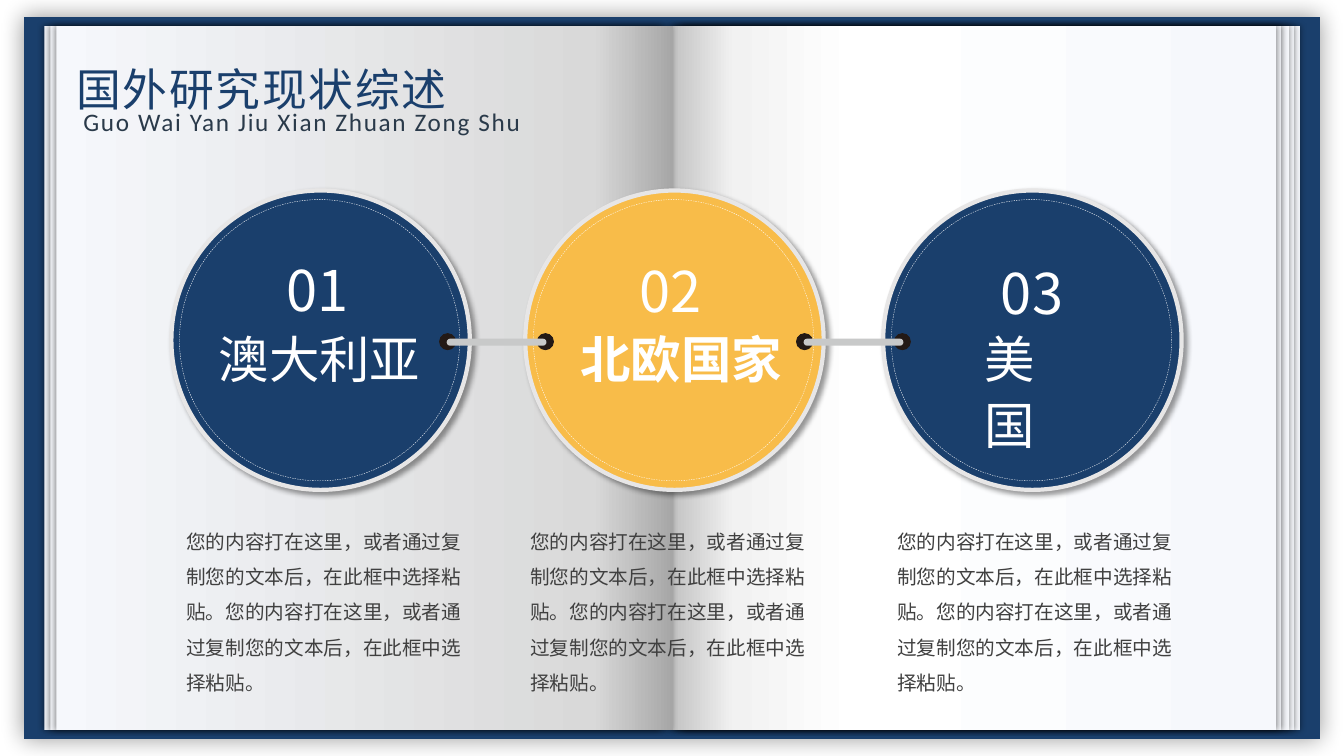
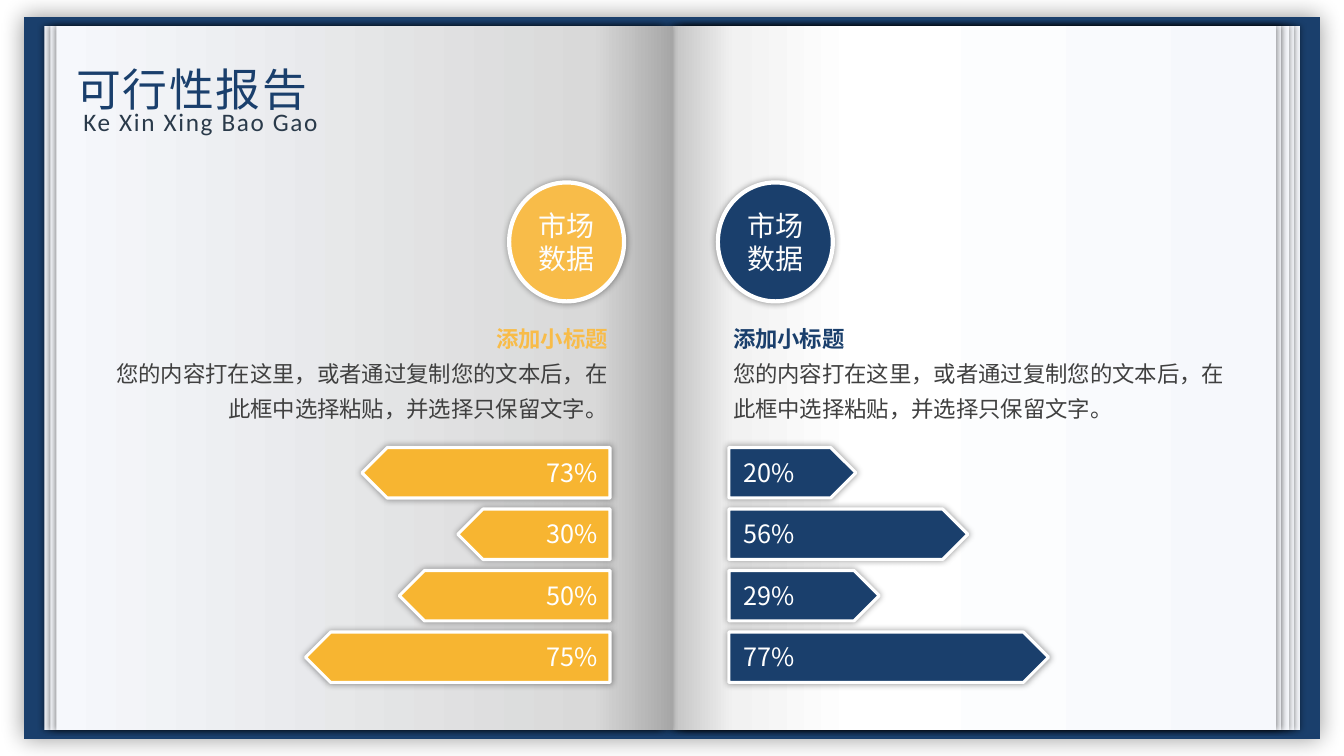
from lxml import etree
from pptx import Presentation
from pptx.dml.color import RGBColor
from pptx.enum.dml import MSO_LINE
from pptx.enum.shapes import MSO_SHAPE
from pptx.enum.text import MSO_ANCHOR, MSO_AUTO_SIZE, PP_ALIGN
from pptx.oxml.ns import qn
from pptx.util import Inches, Pt

RECT, OVAL = MSO_SHAPE.RECTANGLE, MSO_SHAPE.OVAL
PILL, ARROW = MSO_SHAPE.ROUNDED_RECTANGLE, MSO_SHAPE.PENTAGON
LEFT, CENTER, RIGHT = PP_ALIGN.LEFT, PP_ALIGN.CENTER, PP_ALIGN.RIGHT
TOP, MIDDLE = MSO_ANCHOR.TOP, MSO_ANCHOR.MIDDLE
GROW = MSO_AUTO_SIZE.SHAPE_TO_FIT_TEXT
DASH = MSO_LINE.DASH

NAVY, GOLD, AMBER = "1A3F6C", "F8BC49", "F7B531"
WHITE, SLATE, GREY, PIN = "FFFFFF", "2A3A4A", "404040", "231915"
CJK, LATIN = "Noto Sans CJK SC", "Calibri"

# Page shading, from the outer edge to the spine
GREY_PAGE = [(0, "F6F8FC"), (87, "D9D9D9"), (100, "A6A6A6")]
SOFT_PAGE = [(0, "F6F8FC"), (62, "FFFFFF"), (89, "F2F2F2"), (100, "D9D9D9")]
WHITE_PAGE = [(0, "F6F8FC"), (69, "FFFFFF"), (89, "F2F2F2"), (100, "BFBFBF")]

NOTE = "您的内容打在这里，或者通过复制您的文本后，在此框中选择粘贴"


def rgb(color):
    return RGBColor.from_string(color)


# Shapes
def add_shadow(sp, blur, dist=0, angle=0):
    effects = sp.element.spPr.find(qn("a:effectLst"))
    shadow = etree.SubElement(effects, qn("a:outerShdw"), blurRad=str(Pt(blur)),
                              dist=str(Pt(dist)), dir=str(angle * 60000),
                              algn="ctr", rotWithShape="0")
    color = etree.SubElement(shadow, qn("a:srgbClr"), val="000000")
    etree.SubElement(color, qn("a:alpha"), val="40000")


def add_shape(s, kind, box, fill=None, line=None, width=1, shadow=None):
    sp = s.shapes.add_shape(kind, *map(Inches, box))
    sp.shadow.inherit = False
    if fill:
        sp.fill.solid()
        sp.fill.fore_color.rgb = rgb(fill)
    else:
        sp.fill.background()
    if line:
        sp.line.color.rgb = rgb(line)
        sp.line.width = Pt(width)
    else:
        sp.line.fill.background()
    if shadow:
        add_shadow(sp, *shadow)
    return sp


def add_page(s, left, width, stops, right_side):
    sp = add_shape(s, RECT, (left, 0.26, width, 6.98),
                   shadow=(4, 1, 0 if right_side else 180))
    sp.fill.gradient()
    sp.fill.gradient_angle = 0
    stop_list = sp.element.spPr.find(qn("a:gradFill")).find(qn("a:gsLst"))
    for old in list(stop_list):
        stop_list.remove(old)
    if right_side:
        stops = [(100 - pos, color) for pos, color in reversed(stops)]
    for pos, color in stops:
        stop = etree.SubElement(stop_list, qn("a:gs"), pos=str(pos * 1000))
        etree.SubElement(stop, qn("a:srgbClr"), val=color)


# Text
def add_run(p, text, size, color, font=CJK, bold=False, spacing=0):
    r = p.add_run()
    r.text = text
    for key, value in {"name": font, "size": Pt(size), "bold": bold}.items():
        setattr(r.font, key, value)
    r.font.color.rgb = rgb(color)
    props = r.font.fill and r._r.get_or_add_rPr()
    if spacing:
        props.set("spc", str(round(spacing * 100)))
    etree.SubElement(props, qn("a:ea"), typeface=font)


def add_text(s, box, lines, wrap=True, align=LEFT, anchor=TOP, leading=None,
             margins=(0.1, 0.05)):
    """Each line is a dict of add_run arguments."""
    sp = s.shapes.add_textbox(*map(Inches, box))
    tf = sp.text_frame
    side, edge = map(Inches, margins)
    frame = {"word_wrap": wrap, "auto_size": GROW, "vertical_anchor": anchor,
             "margin_left": side, "margin_right": side,
             "margin_top": edge, "margin_bottom": edge}
    for key, value in frame.items():
        setattr(tf, key, value)
    for i, line in enumerate(lines):
        p = tf.add_paragraph() if i else tf.paragraphs[0]
        p.alignment = align
        if leading:
            p.line_spacing = leading
        add_run(p, **line)


def add_label(s, box, text, size, color=WHITE, **style):
    add_text(s, box, [dict(text=text, size=size, color=color, **style)],
             wrap=False, leading=Pt(1.3 * size))


# Shared open book, moved to the layout
def build_book(s, layout):
    add_shape(s, RECT, (0.24, 0.17, 12.85, 7.16), NAVY, shadow=(16,))
    for page in [(6.77, 6.12, GREY_PAGE, True), (6.71, 6.12, GREY_PAGE, True),
                 (6.66, 6.12, SOFT_PAGE, True), (6.67, 6.04, WHITE_PAGE, True),
                 (0.44, 6.12, GREY_PAGE, False), (0.5, 6.12, GREY_PAGE, False),
                 (6.62, 6.04, WHITE_PAGE, True), (0.56, 6.12, GREY_PAGE, False)]:
        add_page(s, *page)
    for sp in list(s.shapes):
        layout.shapes.element.append(sp.element)


def add_title(s, title, pinyin):
    add_label(s, (0.66, 0.52, 4.56, 0.64), title, 32, NAVY, spacing=1.2)
    add_text(s, (0.73, 1.01, 4.76, 0.4),
             [dict(text=pinyin, size=18, color=SLATE, font=LATIN, spacing=1.2)])


# Slide 1: linked discs
def add_disc(s, left, fill):
    add_shape(s, OVAL, (left, 1.89, 2.96, 2.97), fill, "E7E6E6", 3, (4, 3, 45))
    ring = add_shape(s, OVAL, (left + 0.08, 1.98, 2.78, 2.79),
                     line="FEFEFE", width=0.25)
    ring.line.dash_style = DASH


def add_link(s, left):
    for pin_left in (left, left + 0.97):
        add_shape(s, OVAL, (pin_left, 3.31, 0.16, 0.16), PIN, PIN, 0.63)
    rod = add_shape(s, PILL, (left + 0.07, 3.36, 0.99, 0.07), "C8C9C9")
    rod.adjustments[0] = 0.5


def build_review(s):
    add_title(s, "国外研究现状综述", "Guo Wai Yan Jiu Xian Zhuan Zong Shu")
    # disc left, fill, number and its place, country and its left, bold, note left
    for left, fill, number, number_at, country, name_left, bold, note_left in [
            (1.7, NAVY, "01", (2.74, 2.43), "澳大利亚", 2.07, False, 1.75),
            (5.21, GOLD, "02", (6.24, 2.44), "北欧国家", 5.66, True, 5.16),
            (8.76, NAVY, "03", (9.83, 2.46), "美国", 9.67, False, 8.8)]:
        add_disc(s, left, fill)
        add_label(s, (name_left, 3.16, 0.55 * len(country), 0.71),
                  country, 36, bold=bold)
        add_label(s, (*number_at, 0.86, 0.77), number, 40)
        add_text(s, (note_left, 5.09, 3, 1.83),
                 [dict(text=f"{NOTE}。" * 2, size=14, color=GREY)],
                 leading=Pt(25.2))
    for left in (4.36, 7.9):
        add_link(s, left)


# Slide 2: two sides of market data
def add_badge(s, left, fill):
    sp = add_shape(s, OVAL, (left, 1.81, 1.14, 1.18), fill, WHITE, 3, (5,))
    tf = sp.text_frame
    tf.word_wrap = True
    tf.vertical_anchor = MIDDLE
    p = tf.paragraphs[0]
    p.alignment = CENTER
    add_run(p, "市场数据", 20, "FDFDFD", LATIN)


def add_bars(s, edge, bars, fill, to_left):
    for i, (value, width) in enumerate(bars):
        top = 4.44 + 0.61 * i
        bar = add_shape(s, ARROW, (edge - width if to_left else edge, top, width, 0.5),
                        fill, WHITE, 2.25, (5,))
        if to_left:
            bar.rotation = 180
        label_left = edge - 0.71 if to_left else edge + 0.06
        add_text(s, (label_left, top + 0.05, 0.67, 0.38),
                 [dict(text=value, size=18, color=WHITE)], wrap=False, align=CENTER,
                 anchor=MIDDLE, leading=Pt(22), margins=(0.07, 0.04))


def build_report(s):
    add_title(s, "可行性报告", "Ke Xin Xing Bao Gao")
    left_bars = [("73%", 2.46), ("30%", 1.51), ("50%", 2.09), ("75%", 3.02)]
    right_bars = [("20%", 1.26), ("56%", 2.37), ("29%", 1.49), ("77%", 3.17)]
    add_bars(s, 6.05, left_bars, AMBER, True)
    add_bars(s, 7.23, right_bars, NAVY, False)
    for badge_left, text_left, width, color, align in [
            (5.05, 1.05, 5.02, GOLD, RIGHT), (7.12, 7.23, 5.11, NAVY, LEFT)]:
        add_text(s, (text_left, 3.13, width, 1.09),
                 [dict(text="添加小标题", size=16, color=color, font=LATIN, bold=True),
                  dict(text=f"{NOTE}，并选择只保留文字。", size=16, color=GREY,
                       font=LATIN)],
                 align=align, leading=1.3, margins=(0.04, 0.02))
        add_badge(s, badge_left, color)


def main():
    prs = Presentation()
    prs.slide_width, prs.slide_height = Inches(13.33), Inches(7.5)
    blank = prs.slide_layouts[6]
    review, report = (prs.slides.add_slide(blank) for _ in range(2))
    build_book(review, blank)
    build_review(review)
    build_report(report)
    prs.save("out.pptx")


if __name__ == "__main__":
    main()
